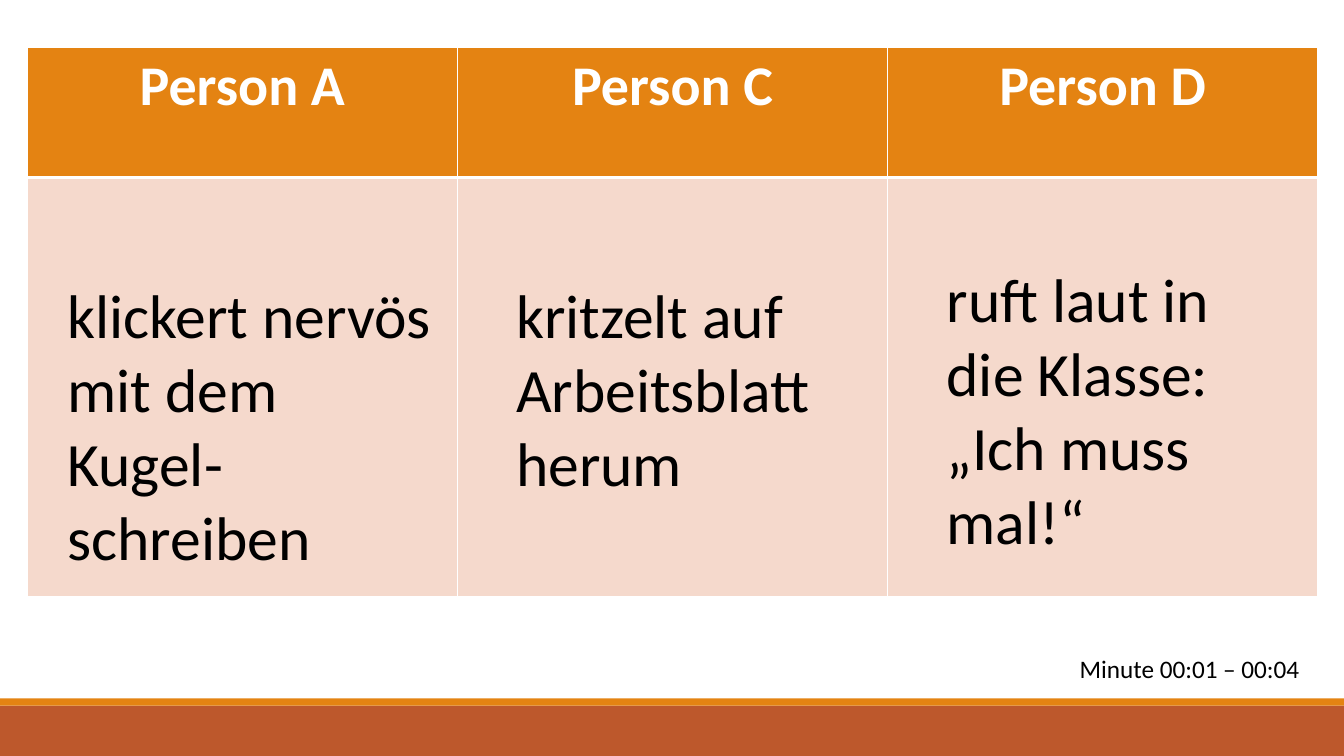
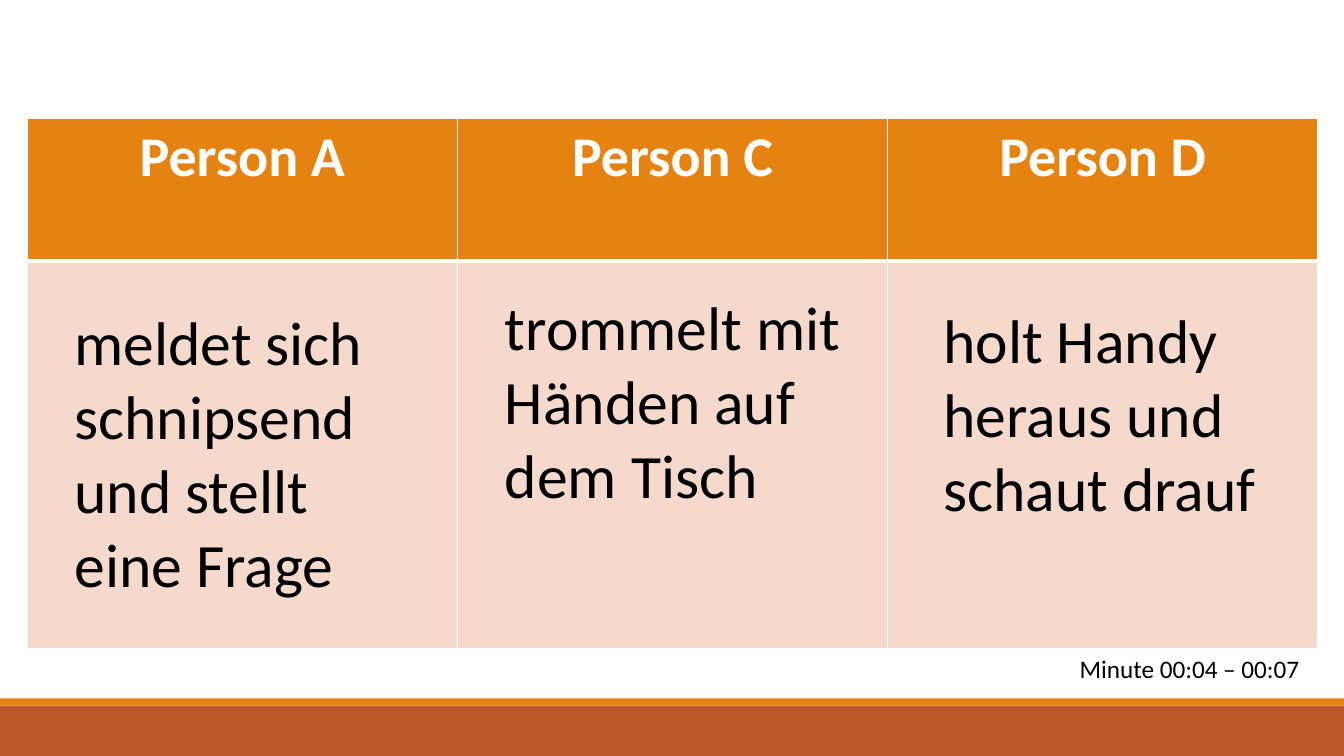
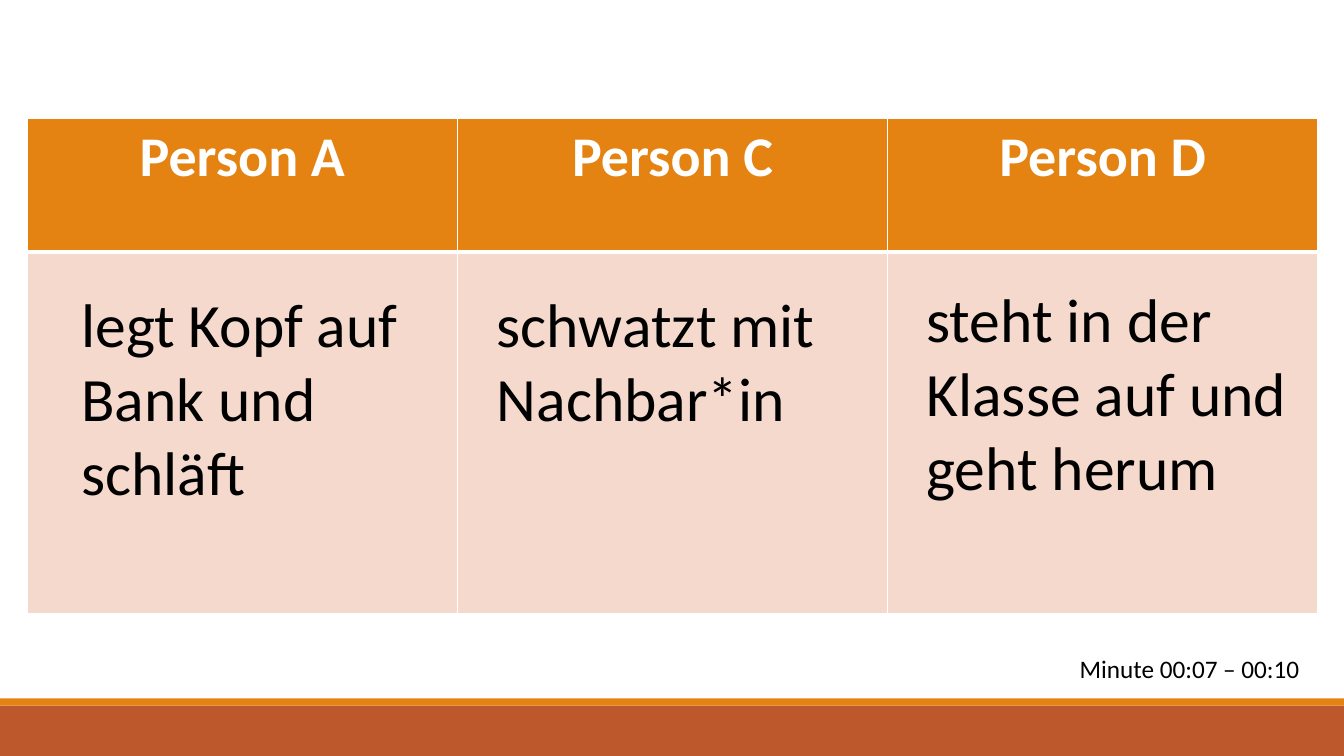
"""Three slides listing what persons A, C and D do in each time span."""
from lxml import etree
from pptx import Presentation
from pptx import util as u
from pptx.dml.color import RGBColor
from pptx.enum import shapes, text
from pptx.oxml import ns

COLORS = {"rust": "BD582C", "orange": "E48312", "pink": "F5D9CC",
          "white": "FFFFFF", "black": "000000"}
PERSONS = ["Person A", "Person C", "Person D"]
SLIDES = [
    {"minute": "Minute 00:01 – 00:04", "top": 0.47, "rows": [1.29, 4.16],
     "notes": [(0.57, 2.7, 3.84, 3.06, ["klickert nervös mit dem Kugel-schreiben"]),
               (5.02, 2.7, 3.67, 2.32, ["kritzelt auf Arbeitsblatt herum"]),
               (9.29, 2.54, 3.17, 3.06, ["ruft laut in die Klasse:", "„Ich muss mal!“"])]},
    {"minute": "Minute 00:04 – 00:07", "top": 1.17, "rows": [1.42, 3.84],
     "notes": [(0.64, 2.97, 3.69, 3.37, ["meldet sich schnipsend und stellt eine Frage"]),
               (4.91, 2.82, 3.89, 2.63, ["trommelt mit Händen auf dem Tisch"]),
               (9.26, 2.95, 3.8, 2.32, ["holt Handy heraus und schaut drauf"])]},
    {"minute": "Minute 00:07 – 00:10", "top": 1.17, "rows": [1.33, 3.59],
     "notes": [(0.71, 2.79, 3.67, 2.32, ["legt Kopf auf Bank und schläft"]),
               (4.83, 2.79, 3.67, 1.58, ["schwatzt mit Nachbar*in"]),
               (9.09, 2.74, 3.8, 2.32, ["steht in der Klasse auf und geht herum"])]},
]


def write(tf, lines, size=44, color="black", bold=False, align=text.PP_ALIGN.LEFT):
    tf.word_wrap = True
    for i, line in enumerate(lines):
        p = tf.paragraphs[0] if i == 0 else tf.add_paragraph()
        p.alignment = align
        r = p.add_run()
        r.text = line
        r.font.name = "Calibri"
        r.font.size = u.Pt(size)
        r.font.bold = bold
        r.font.color.rgb = RGBColor.from_string(COLORS[color])


def style_cell(cell, color, widths):
    tcPr = cell._tc.get_or_add_tcPr()
    for side, width in zip("LRTB", widths):
        ln = etree.SubElement(tcPr, ns.qn("a:ln" + side), w=str(u.Pt(width)))
        fill = etree.SubElement(ln, ns.qn("a:solidFill"))
        etree.SubElement(fill, ns.qn("a:srgbClr"), val=COLORS["white"])
    cell.fill.solid()
    cell.fill.fore_color.rgb = RGBColor.from_string(COLORS[color])


prs = Presentation()
prs.slide_width, prs.slide_height = u.Inches(13.33), u.Inches(7.5)
blank = prs.slide_layouts[6]
pages = [prs.slides.add_slide(blank) for _ in SLIDES]

for top, height, color in [(7, 0.5, "rust"), (6.93, 0.07, "orange")]:
    sp = pages[0].shapes.add_shape(shapes.MSO_SHAPE.RECTANGLE, 0, u.Inches(top),
                                   prs.slide_width, u.Inches(height))
    sp.shadow.inherit = False
    sp.fill.solid()
    sp.fill.fore_color.rgb = RGBColor.from_string(COLORS[color])
    sp.line.fill.background()
    prs.slide_master.shapes.element.append(sp.element)

for s, data in zip(pages, SLIDES):
    table = s.shapes.add_table(2, len(PERSONS), u.Inches(0.27), u.Inches(data["top"]),
                               u.Inches(12.8), u.Inches(sum(data["rows"]))).table
    for row, height in zip(table.rows, data["rows"]):
        row.height = u.Inches(height)
    for col, person in enumerate(PERSONS):
        head, body = table.cell(0, col), table.cell(1, col)
        style_cell(head, "orange", (1, 1, 1, 3))
        style_cell(body, "pink", (1, 1, 3, 1))
        write(head.text_frame, [person], size=40, color="white", bold=True,
              align=text.PP_ALIGN.CENTER)

    boxes = [(*note, 44) for note in data["notes"]]
    boxes.append((10.61, 6.43, 2.46, 0.4, [data["minute"]], 18))
    for left, top, width, height, lines, size in boxes:
        sp = s.shapes.add_textbox(*map(u.Inches, (left, top, width, height)))
        write(sp.text_frame, lines, size=size)

prs.save("out.pptx")
